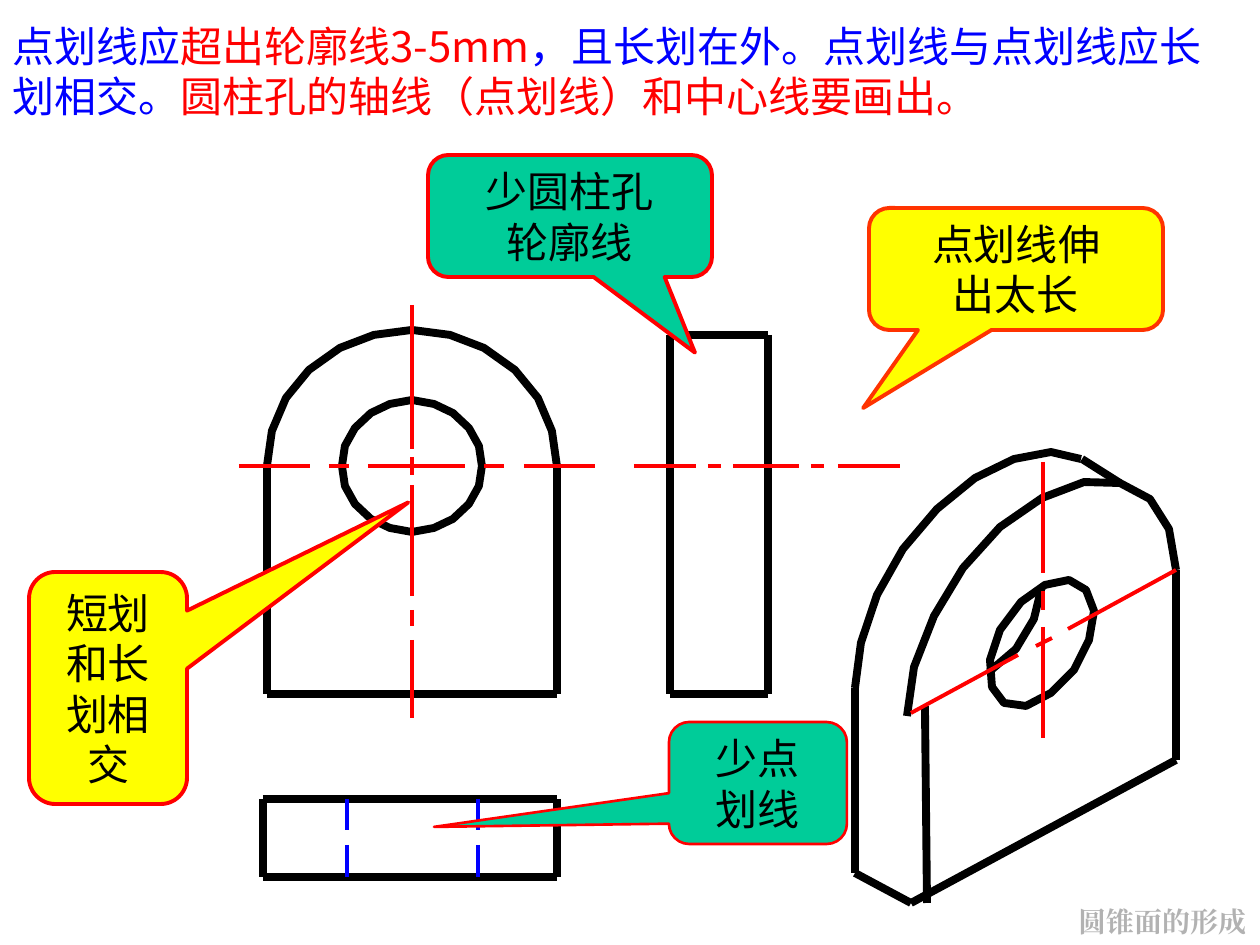
from dataclasses import dataclass
from math import cos, radians, sin

from lxml.etree import SubElement
from pptx import Presentation
from pptx.dml.color import RGBColor
from pptx.enum.shapes import MSO_CONNECTOR, MSO_SHAPE
from pptx.enum.text import MSO_ANCHOR as ANCHOR, PP_ALIGN as ALIGN
from pptx.oxml.ns import qn
from pptx.util import Emu, Pt

SCALE = 914400 / 126
SANS, SERIF = "Noto Sans CJK SC", "Times New Roman"
BLACK, RED, BLUE, YELLOW, GREEN = "000000", "FF0000", "0000FF", "FFFF00", "00CC99"
ORANGE, GREY = "FF3300", "B2B2B2"
THICK, THIN = 4.5, 2.25

Point = tuple[int, int]
Segment = tuple[int, int, int, int]


@dataclass
class Callout:
    lines: list[str]
    box: Segment
    tip: tuple[float, float]
    fill: str
    border: str
    width: float = THIN


@dataclass
class Axis:
    """Dashes along one line: at is the fixed coordinate, dashes the ranges."""
    at: int
    dashes: list[Point]
    vertical: bool = False
    color: str = RED


def px(n: float) -> Emu:
    return Emu(round(n * SCALE))


def rgb(value: str) -> RGBColor:
    return RGBColor.from_string(value)


def style_line(line, color: str, width: float) -> None:
    line.color.rgb = rgb(color)
    line.width = Pt(width)


def style_font(font, name: str, size: int, color: str, bold: bool = False) -> None:
    font.name, font.size, font.bold = name, Pt(size), bold
    font.color.rgb = rgb(color)
    SubElement(font._rPr, qn("a:ea"), typeface=name)


def draw_segment(shapes, seg: Segment, color: str = BLACK, width: float = THICK) -> None:
    c = shapes.add_connector(MSO_CONNECTOR.STRAIGHT, *map(px, seg))
    style_line(c.line, color, width)
    SubElement(c._element.spPr, qn("a:effectLst"))


def draw_curve(shapes, points: list[Point], close: bool = False) -> None:
    builder = shapes.build_freeform(*points[0], scale=SCALE)
    builder.add_line_segments(points[1:], close=close)
    sp = builder.convert_to_shape()
    sp.shadow.inherit = False
    sp.fill.background()
    style_line(sp.line, BLACK, THICK)


def draw_axis(shapes, axis: Axis) -> None:
    for a, b in axis.dashes:
        seg = (axis.at, a, axis.at, b) if axis.vertical else (a, axis.at, b, axis.at)
        draw_segment(shapes, seg, axis.color, THIN)


def draw_callout(shapes, callout: Callout) -> None:
    sp = shapes.add_shape(MSO_SHAPE.ROUNDED_RECTANGULAR_CALLOUT, *map(px, callout.box))
    sp.shadow.inherit = False
    sp.adjustments[0], sp.adjustments[1] = callout.tip
    sp.fill.solid()
    sp.fill.fore_color.rgb = rgb(callout.fill)
    style_line(sp.line, callout.border, callout.width)
    tf = sp.text_frame
    tf.word_wrap = True
    tf.vertical_anchor = ANCHOR.MIDDLE
    tf.text = "\n".join(callout.lines)
    for p in tf.paragraphs:
        p.alignment = ALIGN.CENTER
        style_font(p.font, SANS, 24, BLACK)


def arc(cx: int, cy: int, rx: float, ry: float, sweep: int, step: int) -> list[Point]:
    """Points of an elliptical arc, counter-clockwise from the right end."""
    return [(round(cx + rx * cos(radians(a))), round(cy - ry * sin(radians(a))))
            for a in range(0, sweep + 1, step)]


def box_sides(left: int, top: int, right: int, bottom: int) -> list[Segment]:
    return [(left, top, right, top), (left, bottom, right, bottom),
            (left, top, left, bottom), (right, top, right, bottom)]


ARCH = arc(412, 466, 145, 136, 180, 15)
HOLE = arc(412, 466, 70, 65.5, 342, 18)
FRONT_SIDES = box_sides(267, 466, 557, 694)[1:]
SIDE_VIEW = box_sides(670, 335, 768, 694)
TOP_VIEW = box_sides(263, 799, 557, 877)

SOLID_FRONT_EDGE = [(1176, 570), (1169, 529), (1150, 499), (1120, 483), (1084, 482),
                    (1042, 498), (1000, 527), (963, 568), (934, 616), (914, 667), (907, 716)]
SOLID_BACK_EDGE = [(1081, 459), (1051, 452), (1014, 459), (975, 478), (937, 509),
                   (903, 549), (877, 595), (861, 643), (855, 688)]
SOLID_HOLE = [(1004, 703), (1026, 706), (1051, 693), (1074, 670), (1089, 640), (1094, 611),
              (1086, 590), (1069, 580), (1045, 585), (1021, 602), (1000, 630), (990, 660),
              (992, 687)]
SOLID_HOLE_DEPTH = [(989, 672), (1016, 649), (1034, 619), (1042, 586)]
SOLID_SIDES = [(855, 688, 855, 873), (855, 873, 911, 903), (911, 903, 1176, 760),
               (1176, 570, 1176, 760), (1082, 459, 1120, 483)]
SOLID_CORNER = (925, 706, 927, 903)
SLANTED_AXIS = [(911, 713, 1018, 655), (1036, 646, 1052, 638), (1068, 629, 1176, 570)]

HIDDEN = [(799, 830), (845, 877)]
AXES = [
    Axis(347, HIDDEN, True, BLUE),
    Axis(478, HIDDEN, True, BLUE),
    Axis(466, [(634, 696), (708, 721), (733, 799), (811, 824), (838, 900)]),
    Axis(466, [(239, 310), (329, 349), (368, 465), (484, 504), (524, 595)]),
    Axis(1043, [(462, 573), (591, 610), (627, 738)], True),
    Axis(412, [(305, 449), (457, 475), (485, 596), (610, 626), (640, 718)], True),
]

LONG_AXIS_NOTE = Callout(["点划线伸", "出太长"], (869, 208, 294, 122),
                         (-0.52, 1.14), YELLOW, ORANGE)
NOTES = [
    Callout(["少点", "划线"], (669, 722, 178, 122), (-1.82, 0.36), GREEN, RED, 1.5),
    Callout(["少圆柱孔", "轮廓线"], (428, 155, 284, 122), (0.44, 1.12), GREEN, RED),
    Callout(["短划", "和长", "划相", "交"], (29, 572, 158, 232), (1.9, -0.8), YELLOW, RED),
]
RULES = [("点划线应", BLUE), ("超出轮廓线3-5mm", RED),
         ("，且长划在外。点划线与点划线应长划相交。", BLUE),
         ("圆柱孔的轴线（点划线）和中心线要画出。", RED)]


def draw_views(shapes) -> None:
    for curve in (ARCH, SOLID_FRONT_EDGE, SOLID_BACK_EDGE, SOLID_HOLE_DEPTH):
        draw_curve(shapes, curve)
    for hole in (HOLE, SOLID_HOLE):
        draw_curve(shapes, hole, close=True)
    for seg in FRONT_SIDES + SIDE_VIEW + TOP_VIEW + SOLID_SIDES:
        draw_segment(shapes, seg)
    for axis in AXES:
        draw_axis(shapes, axis)
    for seg in SLANTED_AXIS:
        draw_segment(shapes, seg, RED, THIN)


def add_rules(shapes) -> None:
    tf = shapes.add_textbox(px(0), px(14), px(1255), px(113)).text_frame
    tf.word_wrap = True
    tf.vertical_anchor = ANCHOR.MIDDLE
    for text, color in RULES:
        r = tf.paragraphs[0].add_run()
        r.text = text
        style_font(r.font, SANS, 24, color)


def add_footer(shapes) -> None:
    tf = shapes.add_textbox(px(1066), px(898), px(193), px(47)).text_frame
    tf.word_wrap = False
    p = tf.paragraphs[0]
    p.text = "圆锥面的形成"
    p.alignment = ALIGN.CENTER
    style_font(p.font, SERIF, 16, GREY, bold=True)


def main() -> None:
    prs = Presentation()
    prs.slide_width, prs.slide_height = px(1260), px(945)
    shapes = prs.slides.add_slide(prs.slide_layouts[6]).shapes
    draw_segment(shapes, SOLID_CORNER)
    draw_callout(shapes, LONG_AXIS_NOTE)
    draw_views(shapes)
    for note in NOTES:
        draw_callout(shapes, note)
    add_rules(shapes)
    add_footer(shapes)
    prs.save("out.pptx")


if __name__ == "__main__":
    main()
